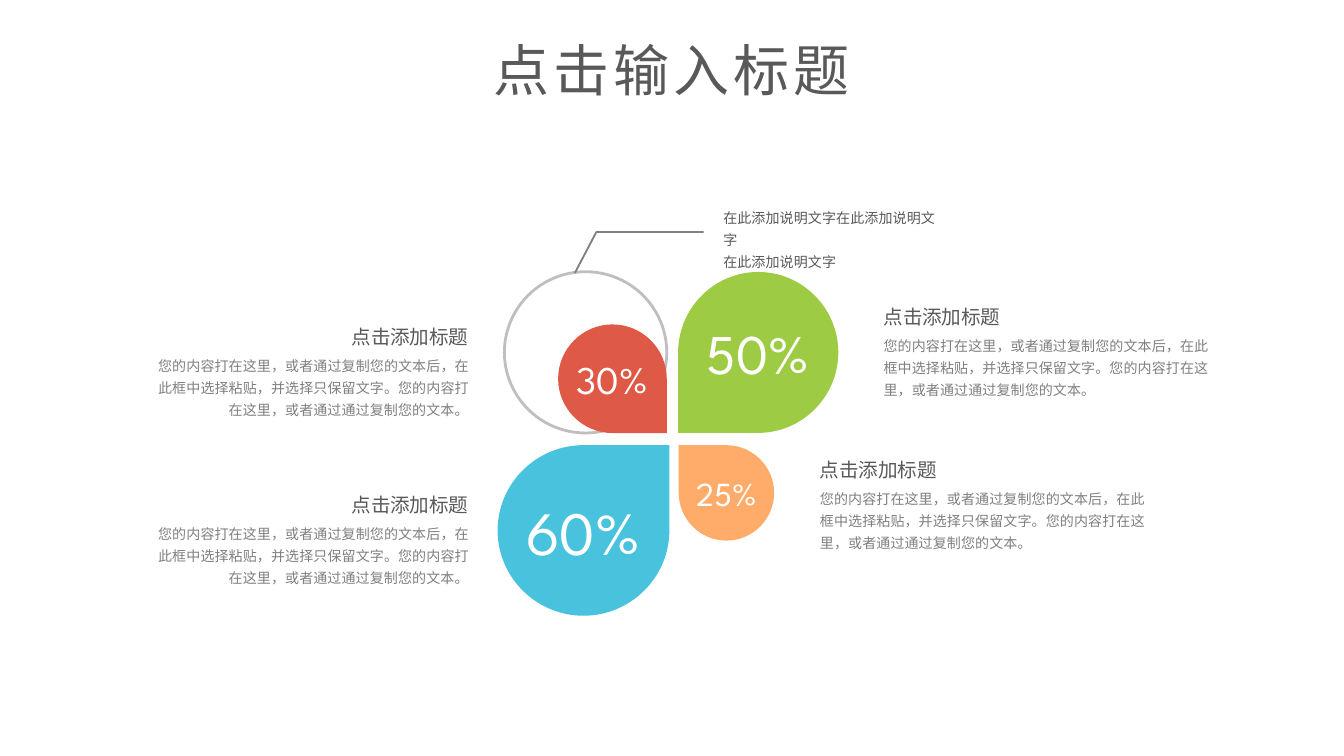
from math import cos, radians, sin

from lxml.etree import SubElement
from pptx import Presentation
from pptx.dml.color import RGBColor
from pptx.enum.shapes import MSO_SHAPE as SHAPE
from pptx.enum.text import MSO_ANCHOR as ANCHOR, MSO_AUTO_SIZE as AUTO, PP_ALIGN as ALIGN
from pptx.oxml.ns import qn
from pptx.util import Pt

WHITE = RGBColor(0xFF, 0xFF, 0xFF)
DARK = RGBColor(0x59, 0x59, 0x59)
GRAY = RGBColor(0x80, 0x80, 0x80)
SILVER = RGBColor(0xBF, 0xBF, 0xBF)
RED = RGBColor(0xDF, 0x59, 0x47)
GREEN = RGBColor(0x9D, 0xCB, 0x43)
ORANGE = RGBColor(0xFF, 0xAC, 0x6A)
BLUE = RGBColor(0x49, 0xC2, 0xDD)

TITLE_FONT = "Noto Sans CJK JP"
BODY_FONT = "Noto Sans CJK SC"
NUMBER_FONT = "League Spartan"

HEADING = "点击添加标题"
BODY = "您的内容打在这里，或者通过复制您的文本后，在此框中选择粘贴，并选择只保留文字。您的内容打在这里，或者通过通过复制您的文本。"
NOTE = "在此添加说明文字"

ARC_PULL = 0.55
BOTTOM_RIGHT, BOTTOM_LEFT, TOP_LEFT, TOP_RIGHT = 0, 90, 180, 270
PETALS = [
    ("30%", 21, RED, BOTTOM_RIGHT, 299, 173.8, 58.2, 58.2),
    ("50%", 30, GREEN, BOTTOM_LEFT, 363.3, 145.7, 85.8, 86.2),
    ("25%", 18, ORANGE, TOP_LEFT, 363.6, 238.5, 51.1, 51.1),
    ("60%", 33, BLUE, TOP_RIGHT, 266.6, 238.5, 92, 91.4),
]
CAPTIONS = [
    (432.2, 239, ALIGN.LEFT),
    (74.5, 168, ALIGN.RIGHT),
    (466.3, 157, ALIGN.LEFT),
    (74.5, 257.7, ALIGN.RIGHT),
]


def style(p, size, color, font, align, spacing=None):
    p.alignment = align
    p.line_spacing = spacing
    p.font.size = Pt(size)
    p.font.color.rgb = color
    p.font.name = font
    props = p._p.pPr.find(qn("a:defRPr"))
    SubElement(props, qn("a:ea")).set("typeface", font)
    return props


def add_title(s, text):
    sp = s.shapes.title
    sp.left, sp.top, sp.width, sp.height = Pt(254.9), Pt(15.5), Pt(210.2), Pt(43.9)
    tf = sp.text_frame
    tf.text = text
    tf.word_wrap = False
    tf.auto_size = AUTO.SHAPE_TO_FIT_TEXT
    tf.vertical_anchor = ANCHOR.TOP
    style(tf.paragraphs[0], 30, DARK, TITLE_FONT, ALIGN.CENTER).set("spc", "220")


def add_text(s, lines, x, y, w, h, size, color, align, spacing, inset=3.6):
    tf = s.shapes.add_textbox(Pt(x), Pt(y), Pt(w), Pt(h)).text_frame
    tf.word_wrap = True
    tf.auto_size = AUTO.SHAPE_TO_FIT_TEXT
    tf.margin_top = tf.margin_bottom = Pt(inset)
    tf.text = "\n".join(lines)
    for p in tf.paragraphs:
        style(p, size, color, BODY_FONT, align, spacing)


def add_caption(s, x, y, align):
    right = align == ALIGN.RIGHT
    heading_x = x + 8.6 if right else x
    add_text(s, [HEADING], heading_x, y, 175, 19.4, 10.5, DARK, align, 1.5, 0)
    add_text(s, [BODY], x, y + 17.5, 183.6 if right else 194, 42.5, 7.5, GRAY, align, 1.3)


def add_path(s, points, close):
    start, *rest = [(Pt(x), Pt(y)) for x, y in points]
    builder = s.shapes.build_freeform(*start)
    builder.add_line_segments(rest, close=close)
    sp = builder.convert_to_shape()
    sp.shadow.inherit = False
    return sp


def petal_points(corner, x, y, w, h):
    def unit(angle):
        return cos(radians(angle)), sin(radians(angle))

    def blend(a, b, pull):
        return a[0] + pull * b[0], a[1] + pull * b[1]

    points = [unit(corner + 90)]
    for angle in range(corner + 90, corner + 360, 90):
        a, b = unit(angle), unit(angle + 90)
        points += [blend(a, b, ARC_PULL), blend(b, a, ARC_PULL), b]
    points.append(blend(unit(corner), unit(corner + 90), 1))
    return [(x + w * (1 + u) / 2, y + h * (1 + v) / 2) for u, v in points]


def curve_arcs(sp):
    lines = list(sp._element.iter(qn("a:lnTo")))[:9]
    for i in range(0, 9, 3):
        curve = lines[i].makeelement(qn("a:cubicBezTo"))
        lines[i].addprevious(curve)
        for line in lines[i:i + 3]:
            curve.append(line[0])
            line.getparent().remove(line)


def add_petal(s, text, size, color, corner, x, y, w, h):
    sp = add_path(s, petal_points(corner, x, y, w, h), True)
    curve_arcs(sp)
    sp.fill.solid()
    sp.fill.fore_color.rgb = color
    sp.line.fill.background()
    tf = sp.text_frame
    tf.margin_left = tf.margin_right = Pt(5)
    tf.margin_top = tf.margin_bottom = Pt(3)
    tf.vertical_anchor = ANCHOR.MIDDLE
    tf.text = text
    style(tf.paragraphs[0], size, WHITE, NUMBER_FONT, ALIGN.CENTER)


def outline(sp, color, width):
    sp.shadow.inherit = False
    sp.fill.background()
    sp.line.color.rgb = color
    sp.line.width = Pt(width)


def main():
    prs = Presentation()
    prs.slide_width, prs.slide_height = Pt(720), Pt(405)
    s = prs.slides.add_slide(prs.slide_layouts[5])
    add_title(s, "点击输入标题")
    ring = s.shapes.add_shape(SHAPE.OVAL, Pt(270.2), Pt(145.6), Pt(87), Pt(86.4))
    outline(ring, SILVER, 1.5)
    for petal in PETALS:
        add_petal(s, *petal)
    for caption in CAPTIONS:
        add_caption(s, *caption)
    leader = add_path(s, [(308, 146.2), (319.5, 124.3), (377, 124.3)], False)
    outline(leader, GRAY, 1)
    add_text(s, [NOTE * 2, NOTE], 380.4, 106.1, 133.9, 42.5, 7.5, DARK, ALIGN.LEFT, 1.3)
    prs.save("out.pptx")


if __name__ == "__main__":
    main()
